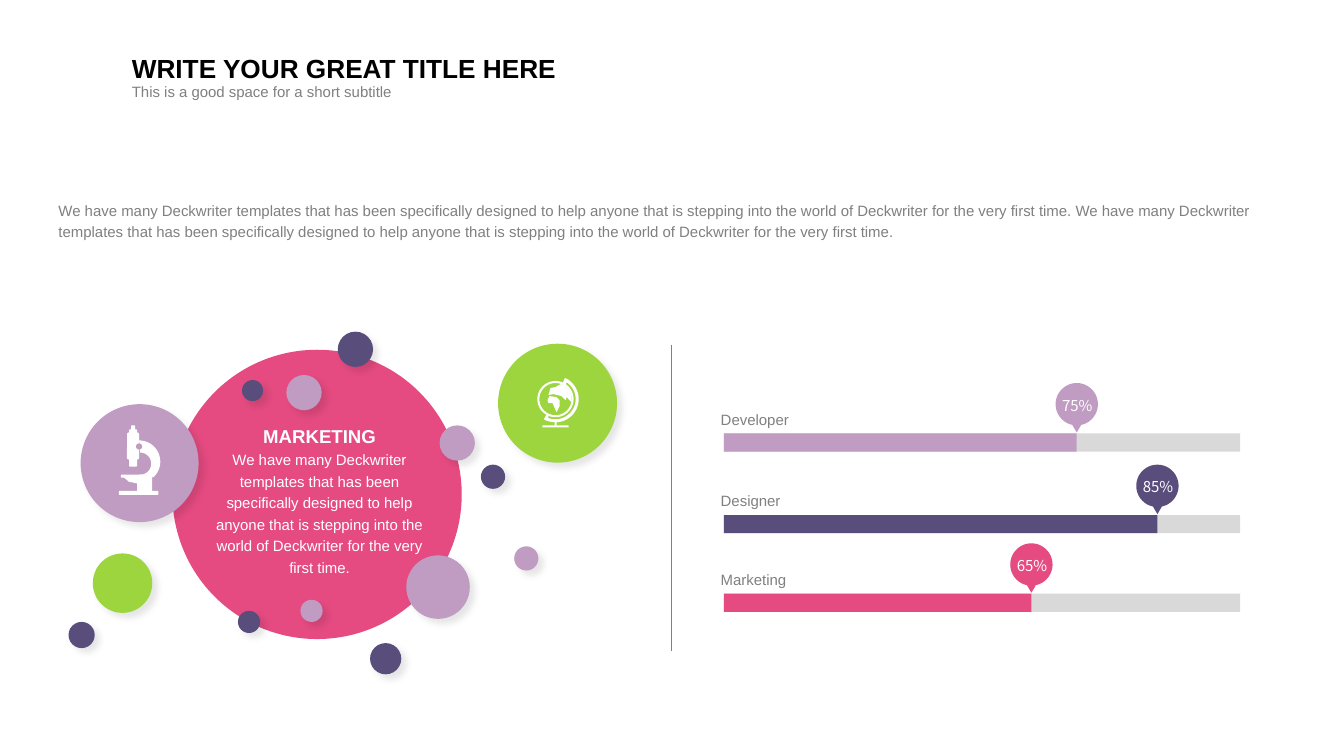
"""Build a slide with a bubble cluster on the left and three skill bars on the right."""
from math import cos, radians, sin

from lxml import etree
from pptx import Presentation
from pptx.dml.color import RGBColor
from pptx.enum.shapes import MSO_CONNECTOR, MSO_SHAPE
from pptx.enum.text import MSO_AUTO_SIZE, PP_ALIGN
from pptx.oxml import parse_xml
from pptx.oxml.ns import nsdecls, qn
from pptx.util import Inches, Pt

PINK = RGBColor(0xE5, 0x4B, 0x81)
MAUVE = RGBColor(0xC0, 0x9C, 0xC2)
PURPLE = RGBColor(0x59, 0x4D, 0x7B)
GREEN = RGBColor(0x9D, 0xD5, 0x3E)
GREY = RGBColor(0x80, 0x80, 0x80)
TRACK = RGBColor(0xD9, 0xD9, 0xD9)
WHITE = RGBColor(0xFF, 0xFF, 0xFF)
BLACK = RGBColor(0x00, 0x00, 0x00)
SHADOW = (
    f'<a:effectLst {nsdecls("a")}><a:outerShdw blurRad="63500" dist="63500" dir="2700000" '
    'algn="tl" rotWithShape="0"><a:srgbClr val="000000"><a:alpha val="10000"/></a:srgbClr>'
    '</a:outerShdw></a:effectLst>'
)
PITCH = (
    "We have many Deckwriter templates that has been specifically designed to help anyone "
    "that is stepping into the world of Deckwriter for the very first time."
)
BODY_SIZE = 10.7
BAR_LEFT, BAR_LENGTH, BAR_HEIGHT = 7.18, 5.12, 0.18
PIN_RADIUS, PIN_RISE = 0.21, 0.29
GLOBE = (5.51, 3.96)


def arc(center, radius, start, end, steps=40):
    """Return points along an arc, in degrees clockwise from the right."""
    angles = [radians(start + (end - start) * i / steps) for i in range(steps + 1)]
    return [(center[0] + radius * cos(a), center[1] + radius * sin(a)) for a in angles]


def band(center, outer, inner, start, end):
    """Return the outline of a ring segment between two radii."""
    return arc(center, outer, start, end) + arc(center, inner, end, start)


prs = Presentation()
prs.slide_width, prs.slide_height = Inches(13.33), Inches(7.5)
s = prs.slides.add_slide(prs.slide_layouts[6])

bubbles = [
    (1.71, 3.47, 2.87, PINK), (2.84, 3.72, 0.35, MAUVE), (3.35, 3.29, 0.35, PURPLE),
    (2.4, 3.77, 0.21, PURPLE), (4.36, 4.22, 0.35, MAUVE), (4.77, 4.61, 0.24, PURPLE),
    (5.1, 5.42, 0.24, MAUVE), (4.03, 5.51, 0.63, MAUVE), (2.36, 6.06, 0.22, PURPLE),
    (2.98, 5.95, 0.22, MAUVE), (3.67, 6.38, 0.31, PURPLE), (0.92, 5.49, 0.59, GREEN),
    (0.68, 6.17, 0.26, PURPLE), (0.8, 4.01, 1.17, MAUVE), (4.94, 3.41, 1.18, GREEN),
]
icon_blocks = {
    "eyepiece": (1.3, 4.22, 0.04, 0.06),
    "collar": (1.28, 4.26, 0.08, 0.05),
    "tube": (1.26, 4.29, 0.12, 0.27),
    "objective": (1.28, 4.54, 0.08, 0.09),
    "stage": (1.2, 4.71, 0.2, 0.03),
    "pillar": (1.36, 4.71, 0.15, 0.18),
    "microscope base": (1.18, 4.87, 0.39, 0.04),
    "globe post": (5.5, 4.18, 0.02, 0.05),
    "globe foot": (5.38, 4.22, 0.26, 0.02),
}
icon_outlines = {
    "microscope arm": arc((1.38, 4.58), 0.21, -90, 48) + arc((1.39, 4.6), 0.11, 90, -90),
    "stage bracket": [(1.22, 4.73), (1.38, 4.73), (1.38, 4.8), (1.28, 4.78)],
    "globe rim": band(GLOBE, 0.18, 0.16, 0, 360),
    "globe arm": band(GLOBE, 0.23, 0.2, -60, 116),
    "north pin": band(GLOBE, 0.23, 0.17, -66, -56),
    "south pin": band(GLOBE, 0.23, 0.17, 112, 120),
    "Eurasia": arc(GLOBE, 0.16, -70, 10) + [
        (5.62, 3.94), (5.61, 3.97), (5.57, 3.93), (5.49, 3.91), (5.44, 3.92), (5.46, 3.85),
        (5.51, 3.84)],
    "Africa": [
        (5.43, 3.97), (5.45, 3.93), (5.52, 3.94), (5.55, 3.97), (5.55, 4.03), (5.52, 4.09),
        (5.48, 4), (5.44, 4)],
}
skills = [
    ("Developer", "75%", 4.3, 3.5, 0.92, MAUVE),
    ("Designer", "85%", 5.11, 4.3, 0.84, PURPLE),
    ("Marketing", "65%", 5.89, 3.05, 0.9, PINK),
]
texts = [
    (0.58, 1.96, 12.18, 0.43, True, 0, PP_ALIGN.LEFT, "Arial", GREY,
     [(f"{PITCH} {PITCH}", BODY_SIZE, False)]),
    (2.12, 4.17, 2.1, 1.56, True, 0, PP_ALIGN.CENTER, "Arial", WHITE,
     [("MARKETING", 13.3, True), (PITCH, BODY_SIZE, False)]),
    (1.21, 0.47, 4.44, 0.42, False, 0.1, PP_ALIGN.LEFT, "Arial", BLACK,
     [("WRITE YOUR GREAT TITLE HERE", 18.7, True)]),
    (1.21, 0.77, 2.8, 0.28, False, 0.1, PP_ALIGN.LEFT, "Arial", GREY,
     [("This is a good space for a short subtitle", BODY_SIZE, False)]),
]

presets = [(MSO_SHAPE.OVAL, x, y, d, d, color, color != PINK) for x, y, d, color in bubbles]
presets += [
    (MSO_SHAPE.ROUNDED_RECTANGLE, *box, WHITE, False) for box in icon_blocks.values()]
outlines = [(points, WHITE) for points in icon_outlines.values()]
outlines.append((arc((1.38, 4.43), 0.03, 0, 360), MAUVE))

for name, share, top, filled, label_width, color in skills:
    for length, fill in ((BAR_LENGTH, TRACK), (filled, color)):
        presets.append(
            (MSO_SHAPE.RECTANGLE, BAR_LEFT, top, length, BAR_HEIGHT, fill, False))
    tip = BAR_LEFT + filled
    bulb = arc((tip, top - PIN_RISE), PIN_RADIUS, 102, 438)
    tail = [(tip + 0.03, top - 0.06), (tip, top - 0.01), (tip - 0.03, top - 0.06)]
    outlines.append((bulb + tail, color))
    texts += [
        (tip - 0.15, top - 0.37, 0.31, 0.18, False, 0, PP_ALIGN.CENTER, "Noto Sans CJK SC",
         WHITE, [(share, BODY_SIZE, False)]),
        (7.05, top - 0.28, label_width, 0.28, False, 0.1, PP_ALIGN.LEFT, "Arial", GREY,
         [(name, BODY_SIZE, False)]),
    ]

for preset, x, y, w, h, color, shadowed in presets:
    sp = s.shapes.add_shape(preset, Inches(x), Inches(y), Inches(w), Inches(h))
    sp.fill.solid()
    sp.fill.fore_color.rgb = color
    sp.line.fill.background()
    if shadowed:
        sp._element.spPr.append(parse_xml(SHADOW))
    else:
        sp.shadow.inherit = False

for outline, color in outlines:
    points = [(Inches(x), Inches(y)) for x, y in outline]
    fb = s.shapes.build_freeform(*points[0])
    fb.add_line_segments(points[1:], close=True)
    sp = fb.convert_to_shape()
    sp.shadow.inherit = False
    sp.fill.solid()
    sp.fill.fore_color.rgb = color
    sp.line.fill.background()

divider = s.shapes.add_connector(
    MSO_CONNECTOR.STRAIGHT, Inches(6.66), Inches(3.42), Inches(6.66), Inches(6.46))
divider.line.color.rgb = GREY
divider.line.width = Pt(0.5)
etree.SubElement(divider._element.spPr, qn("a:effectLst"))

for x, y, w, h, wrap, inset, align, font, color, paragraphs in texts:
    tf = s.shapes.add_textbox(Inches(x), Inches(y), Inches(w), Inches(h)).text_frame
    tf.word_wrap = wrap
    tf.auto_size = MSO_AUTO_SIZE.SHAPE_TO_FIT_TEXT
    tf.margin_left = tf.margin_right = Inches(inset)
    tf.margin_top = tf.margin_bottom = Inches(inset / 2)
    for i, (text, size, bold) in enumerate(paragraphs):
        p = tf.add_paragraph() if i else tf.paragraphs[0]
        p.text = text
        p.alignment = align
        if wrap:
            p.line_spacing = 1.2
        p.font.name = font
        p.font.size = Pt(size)
        p.font.bold = bold
        p.font.color.rgb = color

prs.save("out.pptx")
